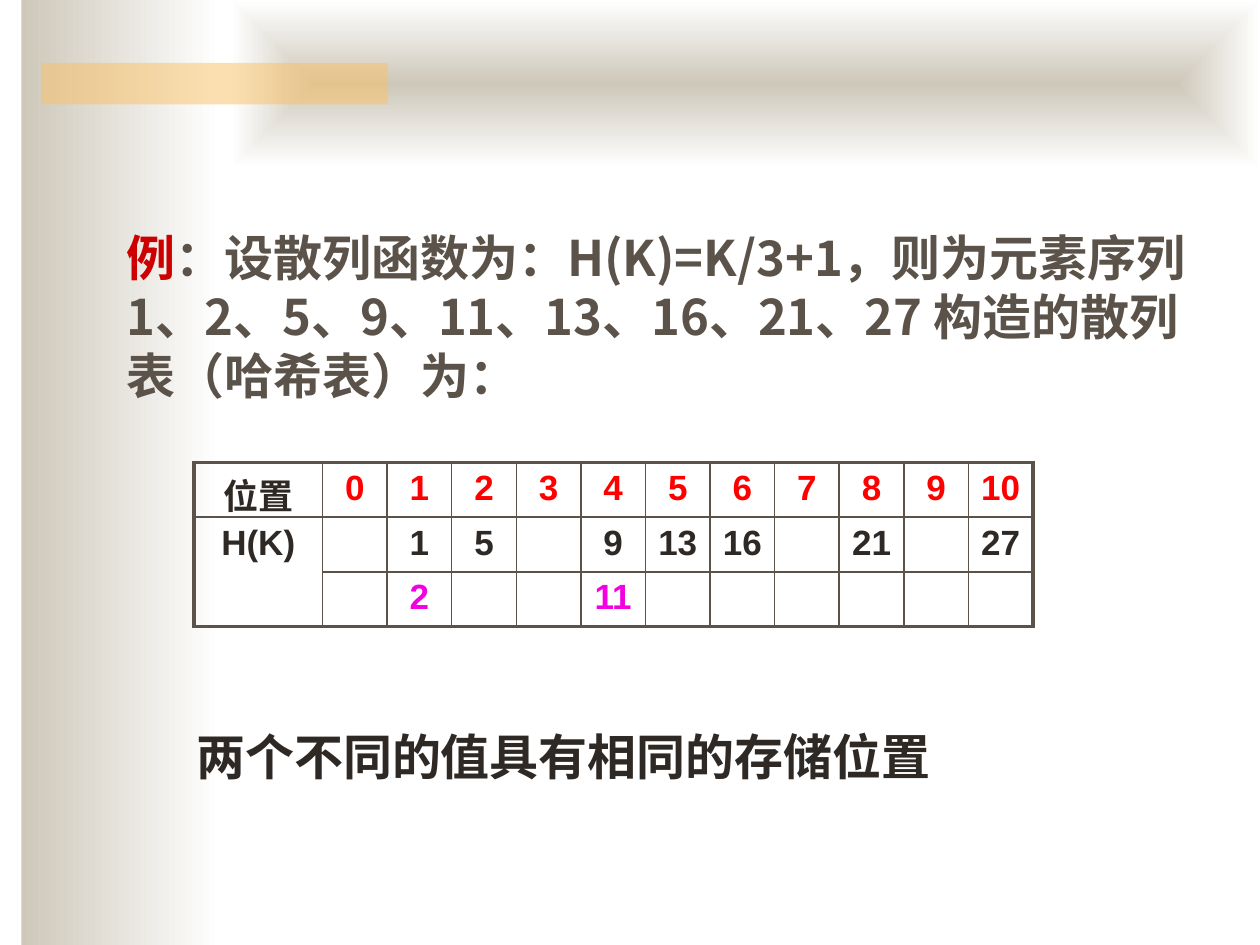
from dataclasses import dataclass

from lxml import etree
from pptx import Presentation
from pptx import util as u
from pptx.dml.color import RGBColor
from pptx.enum import shapes, text
from pptx.oxml.ns import qn

SAND = RGBColor(0xCE, 0xC8, 0xBA)
WHITE = RGBColor(0xFF, 0xFF, 0xFF)
AMBER = RGBColor(0xFA, 0xC1, 0x64)
BROWN = RGBColor(0x5B, 0x52, 0x49)
DARK = RGBColor(0x2E, 0x29, 0x24)
CRIMSON = RGBColor(0xCC, 0x00, 0x00)
RED = RGBColor(0xFF, 0x00, 0x00)
MAGENTA = RGBColor(0xF2, 0x00, 0xE1)

CJK_FONT = "Noto Sans CJK SC"
THIN, THICK = u.Pt(1), u.Pt(2.25)


@dataclass(frozen=True)
class Band:
    left: float
    top: float
    width: float
    height: float


@dataclass(frozen=True)
class Note:
    left: float
    top: float
    width: float
    height: float
    wrap: bool
    phrases: tuple[tuple[str, RGBColor], ...]


@dataclass(frozen=True)
class HashRow:
    label: str
    slots: dict[int, str]
    color: RGBColor


SIDE_BAND = Band(0.17, 0, 1.58, 7.5)
TOP_BAND = Band(1.83, 0, 8.17, 1.33)
ACCENT_BAR = Band(0.33, 0.5, 2.75, 0.33)

NOTES = (
    Note(0.91, 1.76, 8.66, 1.52, True, (
        ("例", CRIMSON),
        ("：设散列函数为：H(K)=K/3+1，则为元素序列 1、2、5、9、11、13、16、21、27 "
         "构造的散列表（哈希表）为：", BROWN))),
    Note(1.46, 5.72, 6.12, 0.57, False, (("两个不同的值具有相同的存储位置", DARK),)),
)

SLOT_COUNT = 11
HASH_ROWS = (
    HashRow("位置", {slot: str(slot) for slot in range(SLOT_COUNT)}, RED),
    HashRow("H(K)", {1: "1", 2: "5", 4: "9", 5: "13", 6: "16", 8: "21", 10: "27"}, DARK),
    HashRow("", {1: "2", 4: "11"}, MAGENTA),
)
TABLE_WIDTH, LABEL_WIDTH, TABLE_HEIGHT = 6.66, 1.02, 1.3


def add_band(slide, band: Band):
    bar = slide.shapes.add_shape(
        shapes.MSO_SHAPE.RECTANGLE, u.Inches(band.left), u.Inches(band.top),
        u.Inches(band.width), u.Inches(band.height))
    bar.shadow.inherit = False
    bar.line.fill.background()
    return bar


def fill_sand_gradient(bar, from_center: bool = False) -> None:
    bar.fill.gradient()
    bar.fill.gradient_angle = 0
    for stop, color in zip(bar.fill.gradient_stops, (SAND, WHITE)):
        stop.color.rgb = color
    if from_center:
        linear = bar.element.spPr.find(".//" + qn("a:lin"))
        gradient = linear.getparent()
        gradient.remove(linear)
        center = etree.SubElement(gradient, qn("a:path"), {"path": "shape"})
        etree.SubElement(center, qn("a:fillToRect"), dict.fromkeys("ltrb", "50000"))


def add_run(paragraph, words: str, color: RGBColor, font: str, size: float) -> None:
    run = paragraph.add_run()
    run.text = words
    for name, value in {"name": font, "size": u.Pt(size), "bold": True}.items():
        setattr(run.font, name, value)
    run.font.color.rgb = color
    if font == CJK_FONT:
        etree.SubElement(run.font._element, qn("a:ea"), {"typeface": font})


def add_note(slide, note: Note) -> None:
    box = slide.shapes.add_textbox(
        u.Inches(note.left), u.Inches(note.top), u.Inches(note.width), u.Inches(note.height))
    frame = box.text_frame
    frame.word_wrap = note.wrap
    frame.auto_size = text.MSO_AUTO_SIZE.SHAPE_TO_FIT_TEXT
    for words, color in note.phrases:
        add_run(frame.paragraphs[0], words, color, CJK_FONT, 28)


def style_cell(cell, edges: dict[str, int]) -> None:
    properties = cell._tc.get_or_add_tcPr()
    for side, width in edges.items():
        line = etree.SubElement(properties, qn(f"a:ln{side}"), {"w": str(int(width))})
        fill = etree.SubElement(line, qn("a:solidFill"))
        etree.SubElement(fill, qn("a:srgbClr"), {"val": str(BROWN)})
    cell.fill.background()


def write_cell(cell, words: str, color: RGBColor) -> None:
    paragraph = cell.text_frame.paragraphs[0]
    paragraph.alignment = text.PP_ALIGN.CENTER
    add_run(paragraph, words, color, "Arial", 20)


def add_hash_table(slide) -> None:
    row_count, column_count = len(HASH_ROWS), SLOT_COUNT + 1
    table = slide.shapes.add_table(
        row_count, column_count, u.Inches(1.54), u.Inches(3.67),
        u.Inches(TABLE_WIDTH), u.Inches(TABLE_HEIGHT)).table
    for option in ("first_row", "horz_banding"):
        setattr(table, option, False)
    slot_width = (TABLE_WIDTH - LABEL_WIDTH) / SLOT_COUNT
    for index, column in enumerate(table.columns):
        column.width = u.Inches(slot_width if index else LABEL_WIDTH)
    table.cell(1, 0).merge(table.cell(2, 0))

    for r, hash_row in enumerate(HASH_ROWS):
        for c in range(column_count):
            cell = table.cell(r, c)
            # The outer frame is thick, the inner grid thin
            style_cell(cell, {
                "L": THICK if c == 0 else THIN,
                "R": THICK if c == column_count - 1 else THIN,
                "T": THICK if r == 0 else THIN,
                "B": THICK if r + cell.span_height == row_count else THIN,
            })
            words = hash_row.slots.get(c - 1, "") if c else hash_row.label
            if words:
                write_cell(cell, words, hash_row.color if c else DARK)


def main() -> None:
    deck = Presentation()
    deck.slide_width, deck.slide_height = u.Inches(10), u.Inches(7.5)
    slide = deck.slides.add_slide(deck.slide_layouts[6])

    # Background bands
    fill_sand_gradient(add_band(slide, SIDE_BAND))
    fill_sand_gradient(add_band(slide, TOP_BAND), from_center=True)
    accent = add_band(slide, ACCENT_BAR)
    accent.fill.solid()
    accent.fill.fore_color.rgb = AMBER
    amber = accent.element.spPr.find(".//" + qn("a:srgbClr"))
    etree.SubElement(amber, qn("a:alpha"), {"val": "50000"})

    # Problem, hash table and remark
    problem, remark = NOTES
    add_note(slide, problem)
    add_hash_table(slide)
    add_note(slide, remark)

    deck.save("out.pptx")


if __name__ == "__main__":
    main()
